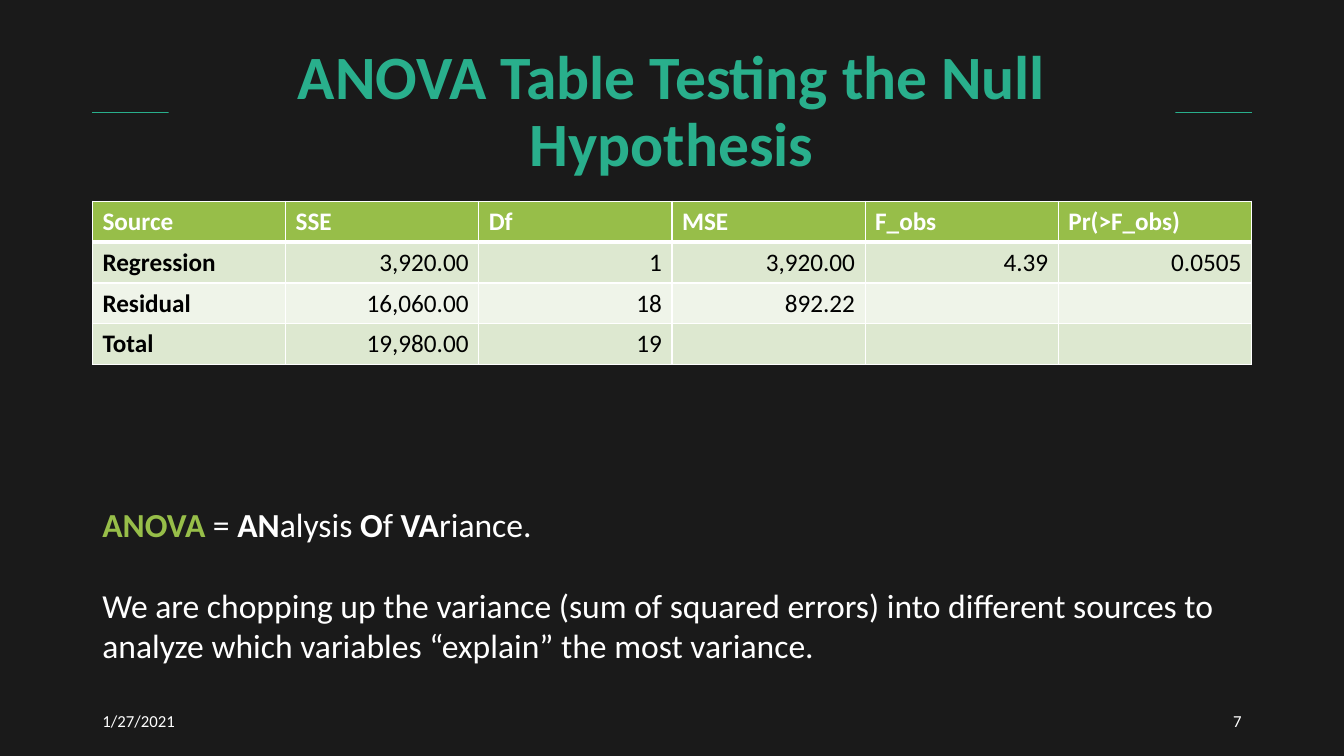
from dataclasses import dataclass

from lxml import etree
from pptx import Presentation
from pptx.dml.color import RGBColor
from pptx.enum.shapes import MSO_CONNECTOR, MSO_SHAPE
from pptx.enum.text import MSO_ANCHOR, PP_ALIGN
from pptx.oxml.ns import qn
from pptx.util import Cm, Pt

STRAIGHT = MSO_CONNECTOR.STRAIGHT
RECTANGLE = MSO_SHAPE.RECTANGLE
MIDDLE, TOP = MSO_ANCHOR.MIDDLE, MSO_ANCHOR.TOP
LEFT, CENTER, RIGHT = PP_ALIGN.LEFT, PP_ALIGN.CENTER, PP_ALIGN.RIGHT


@dataclass(frozen=True)
class Theme:
    font: str = "Calibri"
    background: str = "1A1A1A"
    teal: str = "29AF8C"
    green: str = "97BE49"
    white: str = "FFFFFF"
    black: str = "000000"
    bands: tuple = ("DDE8D0", "EFF4E9")
    title_size: int = 44
    body_size: int = 24
    table_size: int = 18
    footer_size: int = 12


THEME = Theme()

ANOVA_ROWS = [
    ["Source", "SSE", "Df", "MSE", "F_obs", "Pr(>F_obs)"],
    ["Regression", "3,920.00", "1", "3,920.00", "4.39", "0.0505"],
    ["Residual", "16,060.00", "18", "892.22", "", ""],
    ["Total", "19,980.00", "19", "", "", ""],
]
ACRONYM_SPANS = [
    ("ANOVA", True), (" = ", False), ("AN", True), ("alysis ", False),
    ("O", True), ("f ", False), ("VA", True), ("riance.", False),
]
EXPLANATION = (
    "We are chopping up the variance (sum of squared errors) into different "
    "sources to analyze which variables “explain” the most variance."
)


def rgb(color):
    return RGBColor.from_string(color)


def style(para, size, color, bold=False, align=LEFT):
    para.alignment = align
    para.font.name = THEME.font
    para.font.size = Pt(size)
    para.font.bold = bold
    para.font.color.rgb = rgb(color)


def add_text_frame(page, box, anchor):
    frame = page.shapes.add_textbox(*box).text_frame
    frame.word_wrap = True
    frame.vertical_anchor = anchor
    return frame


def add_title(page, box, text):
    """Draw a rule across the box, broken by the title panel."""
    left, top, width, height = box
    rule_y = top + Cm(1.81)
    rule = page.shapes.add_connector(STRAIGHT, left, rule_y, left + width, rule_y)
    rule.line.color.rgb = rgb(THEME.teal)
    rule.line.width = Pt(0.5)
    etree.SubElement(rule.element.spPr, qn("a:effectLst"))

    inset = Cm(1.92)
    panel = page.shapes.add_shape(
        RECTANGLE, left + inset, top, width - 2 * inset, height)
    panel.shadow.inherit = False
    panel.fill.solid()
    panel.fill.fore_color.rgb = rgb(THEME.background)
    panel.line.fill.background()
    frame = panel.text_frame
    frame.word_wrap = True
    frame.vertical_anchor = MIDDLE
    para = frame.paragraphs[0]
    para.text = text
    para.line_spacing = 0.9
    style(para, THEME.title_size, THEME.teal, True, CENTER)


def add_borders(cell, bottom_width):
    properties = cell._tc.get_or_add_tcPr()
    for side, width in (("L", 1), ("R", 1), ("T", 1), ("B", bottom_width)):
        border = etree.SubElement(properties, qn(f"a:ln{side}"), w=str(Pt(width)))
        fill = etree.SubElement(border, qn("a:solidFill"))
        etree.SubElement(fill, qn("a:srgbClr"), val=THEME.white)


def add_anova_table(page, box, rows):
    table = page.shapes.add_table(len(rows), len(rows[0]), *box).table
    table.horz_banding = False
    for row_index, row in enumerate(rows):
        header = row_index == 0
        fill = THEME.green if header else THEME.bands[(row_index - 1) % 2]
        color = THEME.white if header else THEME.black
        for column_index, value in enumerate(row):
            label = header or column_index == 0
            cell = table.cell(row_index, column_index)
            add_borders(cell, 3 if header else 1)
            cell.fill.solid()
            cell.fill.fore_color.rgb = rgb(fill)
            para = cell.text_frame.paragraphs[0]
            if value:
                para.text = value
            style(para, THEME.table_size, color, label, LEFT if label else RIGHT)


def add_explanation(page, box):
    frame = add_text_frame(page, box, TOP)
    acronym = frame.paragraphs[0]
    style(acronym, THEME.body_size, THEME.white)
    for text, bold in ACRONYM_SPANS:
        span = acronym.add_run()
        span.text = text
        span.font.bold = bold
    acronym.runs[0].font.color.rgb = rgb(THEME.green)

    para = frame.add_paragraph()
    para.text = EXPLANATION
    para.space_before = Pt(29)
    style(para, THEME.body_size, THEME.white)


def add_footer(page, box, date, number):
    left, top, width, height = box
    part_width = Cm(7.62)
    parts = ((date, left, LEFT), (number, left + width - part_width, RIGHT))
    for text, part_left, align in parts:
        frame = add_text_frame(page, (part_left, top, part_width, height), MIDDLE)
        para = frame.paragraphs[0]
        para.text = text
        style(para, THEME.footer_size, THEME.white, align=align)


def build_slide(deck):
    page = deck.slides.add_slide(deck.slide_layouts[6])
    page.background.fill.solid()
    page.background.fill.fore_color.rgb = rgb(THEME.background)

    left, width = Cm(2.33), Cm(29.21)
    add_title(page, (left, Cm(1.01), width, Cm(3.68)),
              "ANOVA Table Testing the Null Hypothesis")
    add_footer(page, (left, Cm(17.66), width, Cm(1.01)), "1/27/2021", "7")
    add_anova_table(page, (left, Cm(5.07), width, Cm(4.12)), ANOVA_ROWS)
    add_explanation(page, (left, Cm(12.57), width, Cm(4.37)))


def main():
    deck = Presentation()
    deck.slide_width, deck.slide_height = Cm(33.87), Cm(19.05)
    build_slide(deck)
    deck.save("out.pptx")


if __name__ == "__main__":
    main()
